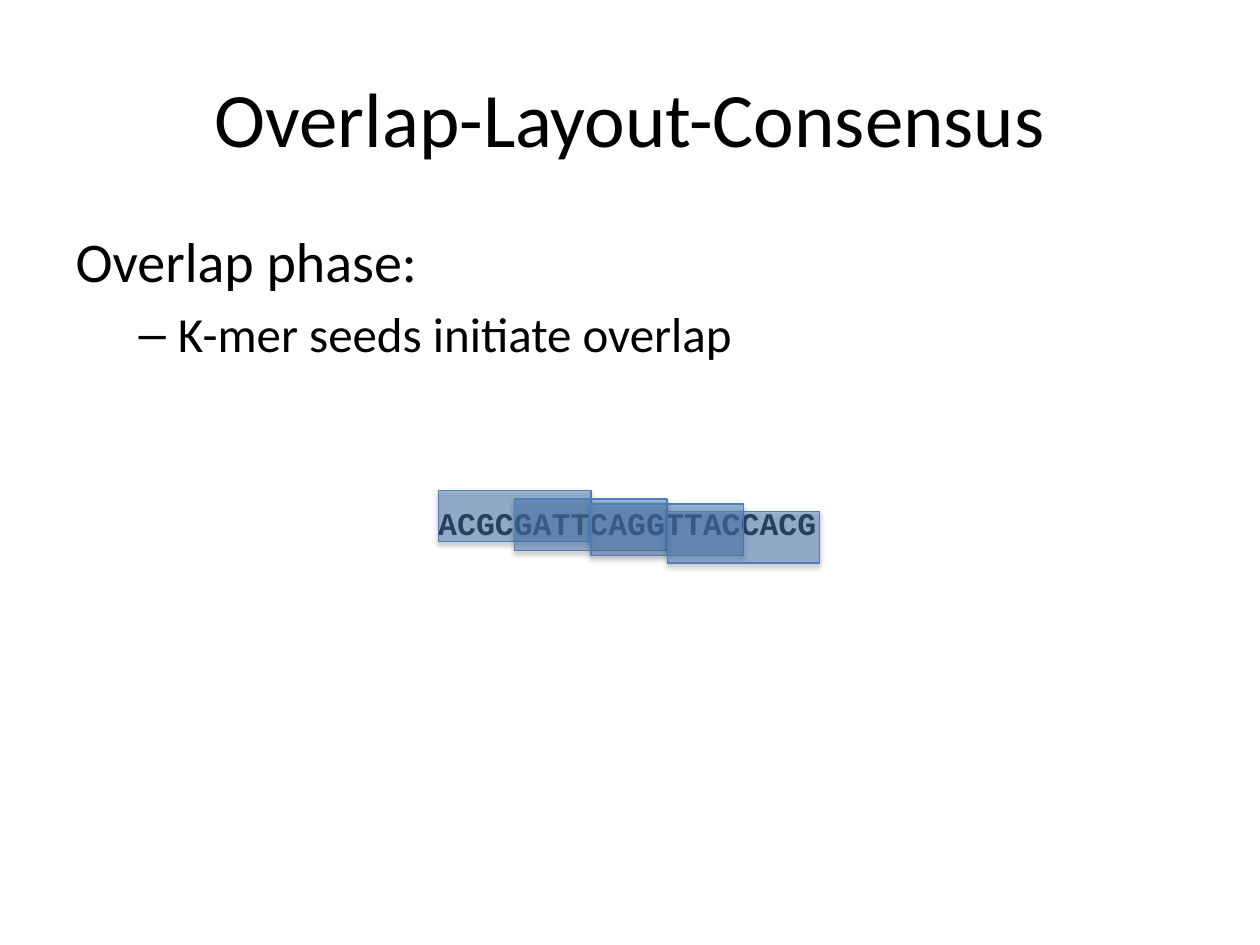
from dataclasses import dataclass

from lxml.etree import SubElement
from pptx import Presentation
from pptx.dml.color import RGBColor
from pptx.enum.shapes import MSO_SHAPE
from pptx.enum.text import MSO_ANCHOR, MSO_AUTO_SIZE, PP_ALIGN
from pptx.oxml.ns import qn
from pptx.util import Inches, Pt


@dataclass(frozen=True)
class Theme:
    text: RGBColor = RGBColor(0x00, 0x00, 0x00)
    seed_fill: RGBColor = RGBColor(0x4F, 0x81, 0xBD)
    seed_line: RGBColor = RGBColor(0x4B, 0x7E, 0xBC)
    font: str = "Calibri"
    mono: str = "Courier New"
    title_size: int = 44
    body_sizes: tuple = (32, 28)
    read_size: int = 18


THEME = Theme()
READ = "ACGCGATTCAGGTTACCACG"
BODY = [("Overlap phase:", 0), ("K-mer seeds initiate overlap", 1)]
SEED_LEFT, SEED_STEP = 3.48, 0.605
SEED_TOPS = [3.89, 3.96, 4.0, 4.06]
SEED_SIZE = (1.21, 0.41)


def place(sp, left, top, width, height):
    box = dict(left=left, top=top, width=width, height=height)
    for name, value in box.items():
        setattr(sp, name, Inches(value))


def add_run(p, text, **font):
    r = p.add_run()
    r.text = text
    r.font.color.rgb = THEME.text
    for name, value in font.items():
        setattr(r.font, name, value)


def fill_title(sp, text):
    place(sp, 0.5, 0.3, 9, 1.25)
    tf = sp.text_frame
    tf.vertical_anchor = MSO_ANCHOR.MIDDLE
    p = tf.paragraphs[0]
    p.alignment = PP_ALIGN.CENTER
    add_run(p, text, name=THEME.font, size=Pt(THEME.title_size))


def fill_body(sp, items):
    """Write the outline; top-level items carry no bullet."""
    place(sp, 0.5, 1.75, 9, 4.95)
    tf = sp.text_frame
    for i, (text, level) in enumerate(items):
        p = tf.add_paragraph() if i else tf.paragraphs[0]
        p.level = level
        if level == 0:
            SubElement(p._p.get_or_add_pPr(), qn("a:buNone"))
        add_run(p, text, name=THEME.font, size=Pt(THEME.body_sizes[level]))


def add_read(s, text):
    sp = s.shapes.add_textbox(Inches(3.38), Inches(3.95), Inches(3.23), Inches(0.4))
    tf = sp.text_frame
    tf.word_wrap = False
    tf.auto_size = MSO_AUTO_SIZE.SHAPE_TO_FIT_TEXT
    add_run(tf.paragraphs[0], text, name=THEME.mono, size=Pt(THEME.read_size), bold=True)


def set_alpha(color, percent):
    SubElement(color, qn("a:alpha"), val=str(percent * 1000))


def add_shadow(sp):
    sp.shadow.inherit = False
    effects = sp._element.spPr.find(qn("a:effectLst"))
    shadow = SubElement(effects, qn("a:outerShdw"), blurRad=str(Pt(3.1)),
                        dist=str(Pt(1.8)), dir="5400000", rotWithShape="0")
    set_alpha(SubElement(shadow, qn("a:srgbClr"), val=str(THEME.text)), 35)


def add_seed(s, left, top):
    """Add a half-transparent k-mer window over the read."""
    sp = s.shapes.add_shape(MSO_SHAPE.RECTANGLE, *map(Inches, (left, top, *SEED_SIZE)))
    sp.fill.solid()
    sp.fill.fore_color.rgb = THEME.seed_fill
    set_alpha(sp._element.spPr.find(qn("a:solidFill"))[0], 50)
    sp.line.color.rgb = THEME.seed_line
    sp.line.width = Pt(0.75)
    add_shadow(sp)


def main():
    prs = Presentation()
    prs.slide_width, prs.slide_height = Inches(10), Inches(7.5)
    s = prs.slides.add_slide(prs.slide_layouts[1])
    fill_title(s.shapes.title, "Overlap-Layout-Consensus")
    fill_body(s.placeholders[1], BODY)
    add_read(s, READ)
    for i, top in enumerate(SEED_TOPS):
        add_seed(s, SEED_LEFT + i * SEED_STEP, top)
    prs.save("out.pptx")


if __name__ == "__main__":
    main()
